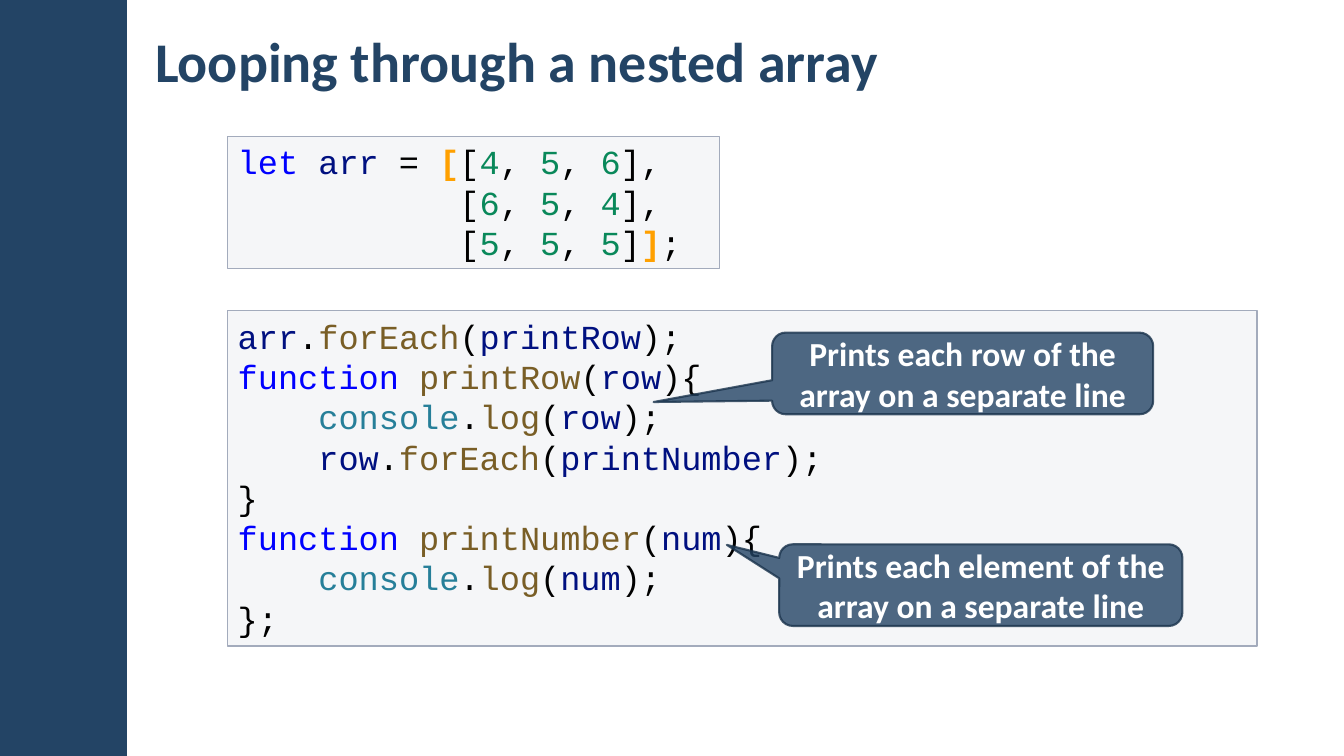
from dataclasses import dataclass

from lxml.etree import SubElement
from pptx import Presentation
from pptx.dml.color import RGBColor
from pptx.enum.shapes import MSO_SHAPE
from pptx.enum.text import MSO_ANCHOR, PP_ALIGN
from pptx.oxml.ns import qn
from pptx.util import Pt

COLORS = {
    "navy": "234465",
    "callout_line": "1A334C",
    "code_fill": "C2C7D2",
    "code_line": "A3ABBC",
    "white": "FFFFFF",
    "plain": "000000",
    "keyword": "0000FF",
    "variable": "001080",
    "function": "795E26",
    "class": "267F99",
    "number": "09885A",
    "outer": "FFA000",
}
CODE_SIZE = 24
CHAR_WIDTH = 0.6 * CODE_SIZE
LINE_PITCH = 1.2 * CODE_SIZE

Run = tuple[str, str]  # text, colour name


@dataclass
class CodeLine:
    runs: list[Run]
    indent: int = 0  # in characters


@dataclass
class CodeBox:
    box: tuple[float, float, float, float]
    lines: list[CodeLine]


@dataclass
class Callout:
    box: tuple[float, float, float, float]
    tip: tuple[float, float]
    text: str


def array_row(numbers: str) -> list[Run]:
    """Runs of a bracketed row, one digit per number."""
    runs = [("[", "plain")]
    for i, number in enumerate(numbers):
        if i:
            runs.append((", ", "plain"))
        runs.append((number, "number"))
    return runs + [("]", "plain")]


def call(owner: Run, method: str, argument: str) -> list[Run]:
    return [owner, (".", "plain"), (method, "function"), ("(", "plain"),
            (argument, "variable"), (");", "plain")]


def header(name: str, parameter: str) -> CodeLine:
    """Opening line of a function definition."""
    return CodeLine([("function ", "keyword"), (name, "function"), ("(", "plain"),
                     (parameter, "variable"), ("){", "plain")])


ARR, ROW = ("arr", "variable"), ("row", "variable")
CONSOLE = ("console", "class")
COMMA = ("," , "plain")

CODE_BOXES = [
    CodeBox((162.7, 221.8, 735.1, 239.8), [
        CodeLine(call(ARR, "forEach", "printRow")),
        header("printRow", "row"),
        CodeLine(call(CONSOLE, "log", "row"), 4),
        CodeLine(call(ROW, "forEach", "printNumber"), 4),
        CodeLine([("}", "plain")]),
        header("printNumber", "num"),
        CodeLine(call(CONSOLE, "log", "num"), 4),
        CodeLine([("};", "plain")]),
    ]),
    CodeBox((162.7, 97.4, 351.4, 94.3), [
        CodeLine([("let ", "keyword"), ARR, (" = ", "plain"), ("[", "outer"),
                  *array_row("456"), COMMA]),
        CodeLine([*array_row("654"), COMMA], 11),
        CodeLine([*array_row("555"), ("]", "outer"), (";", "plain")], 11),
    ]),
]
CALLOUTS = [
    Callout((556.6, 388.8, 288, 58.3), (-0.63, -0.493),
            "Prints each element of the array on a separate line"),
    Callout((551.5, 237.6, 272.2, 58.3), (-0.811, 0.35),
            "Prints each row of the array on a separate line"),
]


def rgb(name: str) -> RGBColor:
    return RGBColor.from_string(COLORS[name])


def add_run(p, text: str, *, font: str = "Calibri", size: float = 24,
            color: str = "white", bold: bool = True) -> None:
    r = p.add_run()
    r.text = text
    r.font.name, r.font.size, r.font.bold = font, Pt(size), bold
    r.font.color.rgb = rgb(color)


def set_alpha(parent, percent: int) -> None:
    for color in parent.iter(qn("a:srgbClr")):
        SubElement(color, qn("a:alpha"), val=str(percent * 1000))


def add_panel(s, kind, box, fill: str, *, line: str = "", width: float = 1,
              fill_alpha: int = 100, line_alpha: int = 100):
    sp = s.shapes.add_shape(kind, *map(Pt, box))
    sp.shadow.inherit = False
    sp.fill.solid()
    sp.fill.fore_color.rgb = rgb(fill)
    if fill_alpha < 100:
        set_alpha(sp.element.spPr, fill_alpha)
    if not line:
        sp.line.fill.background()
        return sp
    sp.line.color.rgb = rgb(line)
    sp.line.width = Pt(width)
    if line_alpha < 100:
        set_alpha(sp.element.spPr.find(qn("a:ln")), line_alpha)
    return sp


def add_title(s, text: str) -> None:
    tf = s.shapes.add_textbox(Pt(102.2), Pt(7.9), Pt(661.7), Pt(69.8)).text_frame
    tf.word_wrap = True
    tf.vertical_anchor = MSO_ANCHOR.MIDDLE
    tf.margin_left = tf.margin_right = Pt(8.64)
    tf.margin_top = tf.margin_bottom = Pt(2.88)
    add_run(tf.paragraphs[0], text, size=40, color="navy")


def add_code(s, code: CodeBox) -> None:
    sp = add_panel(s, MSO_SHAPE.RECTANGLE, code.box, "code_fill",
                   line="code_line", fill_alpha=15)
    tf = sp.text_frame
    tf.word_wrap = True
    tf.vertical_anchor = MSO_ANCHOR.TOP
    for i, line in enumerate(code.lines):
        p = tf.add_paragraph() if i else tf.paragraphs[0]
        p.alignment = PP_ALIGN.LEFT
        p.line_spacing = Pt(LINE_PITCH)
        pPr = p._p.get_or_add_pPr()
        pPr.set("marL", str(Pt(line.indent * CHAR_WIDTH)))
        pPr.set("indent", "0")
        for text, color in line.runs:
            add_run(p, text, font="Courier New", size=CODE_SIZE, color=color,
                    bold=color == "outer")


def add_callout(s, callout: Callout) -> None:
    sp = add_panel(s, MSO_SHAPE.ROUNDED_RECTANGULAR_CALLOUT, callout.box, "navy",
                   line="callout_line", width=1.5, fill_alpha=80, line_alpha=80)
    sp.adjustments[0], sp.adjustments[1] = callout.tip
    tf = sp.text_frame
    tf.word_wrap = True
    tf.vertical_anchor = MSO_ANCHOR.MIDDLE
    tf.paragraphs[0].alignment = PP_ALIGN.CENTER
    add_run(tf.paragraphs[0], callout.text)


def main() -> None:
    prs = Presentation()
    prs.slide_width, prs.slide_height = Pt(960), Pt(540)
    s = prs.slides.add_slide(prs.slide_layouts[6])
    add_panel(s, MSO_SHAPE.RECTANGLE, (0, 0, 90.7, 540), "navy")
    add_title(s, "Looping through a nested array")
    for code in CODE_BOXES:
        add_code(s, code)
    for callout in CALLOUTS:
        add_callout(s, callout)
    prs.save("out.pptx")


if __name__ == "__main__":
    main()
